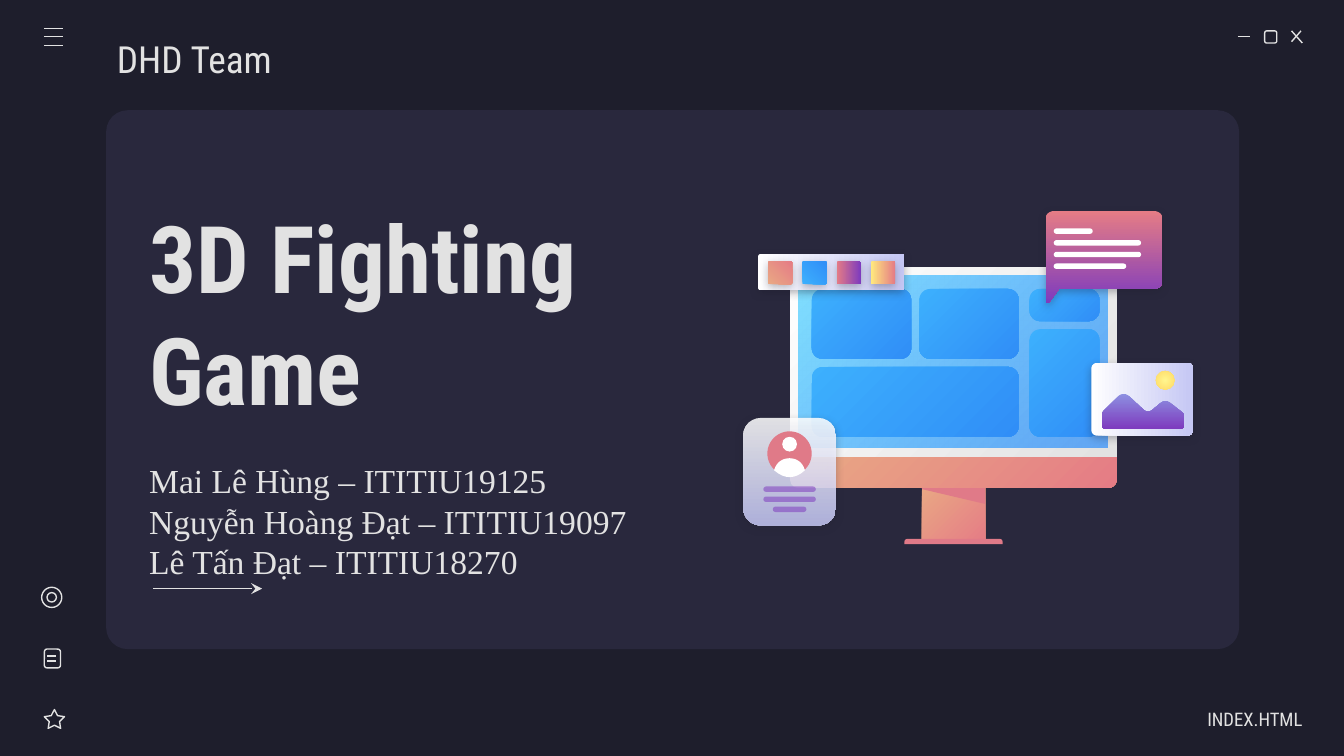
import math

from lxml import etree
from pptx import Presentation
from pptx.dml import color
from pptx.enum import shapes, text
from pptx.oxml import ns
from pptx.util import Inches, Pt

KIND = shapes.MSO_SHAPE
INK, NIGHT, PANEL = "E2E2E2", "1E1E2C", "29283D"
WHITE, ROSE, PURPLE = "FFFFFF", "E07A88", "7E3BBE"
CORAL = ("E9A984", "E57C85", 45)
BLUE = ("3DB0FD", "308EF7", 45)
SUNSET = ("E57C85", PURPLE, 90)
PAPER = (WHITE, "C5C7F4", 90)
CONDENSED = "Roboto Condensed"


def rgb(value):
    return color.RGBColor.from_string(value)


def add_xml(parent, tag, **attributes):
    return etree.SubElement(parent, ns.qn(tag), {name: str(value) for name, value in attributes.items()})


def set_alpha(shape, *percents):
    for node, percent in zip(shape.element.spPr.iter(ns.qn("a:srgbClr")), percents):
        add_xml(node, "a:alpha", val=percent * 1000)


def paint(shape, fill=None, line=None, shadow=False, alpha=()):
    if fill is None:
        shape.fill.background()
    elif isinstance(fill, str):
        shape.fill.solid()
        shape.fill.fore_color.rgb = rgb(fill)
    else:
        shape.fill.gradient()
        shape.fill.gradient_angle = 360 - fill[2]
        for stop, value in zip(shape.fill.gradient_stops, fill):
            stop.color.rgb = rgb(value)
    set_alpha(shape, *alpha)
    if line:
        shape.line.color.rgb = rgb(line)
        shape.line.width = Pt(0.75)
    else:
        shape.line.fill.background()
    shape.shadow.inherit = False
    if shadow:
        effects = shape.element.spPr.find(ns.qn("a:effectLst"))
        outer = add_xml(effects, "a:outerShdw", blurRad=Pt(4.5), dist=Pt(1.5), dir=5400000,
                        algn="bl", rotWithShape=0)
        add_xml(add_xml(outer, "a:srgbClr", val=NIGHT), "a:alpha", val=30000)
    return shape


def add_preset(canvas, kind, at, radii=(), rotation=0, **style):
    shape = canvas.add_shape(kind, *map(Inches, at))
    for index, radius in enumerate(radii):
        shape.adjustments[index] = radius / min(at[2:])
    shape.rotation = rotation
    return paint(shape, **style)


def add_rounded(canvas, at, radius, **style):
    return add_preset(canvas, KIND.ROUNDED_RECTANGLE, at, (radius,), **style)


def toward(start, end, distance):
    share = min(1, distance / math.dist(start, end))
    return tuple(a + (b - a) * share for a, b in zip(start, end))


def add_outline(canvas, corners, **style):
    points = []
    for index, (x, y, radius) in enumerate(corners):
        peak = (x, y)
        if not radius:
            points.append(peak)
            continue
        enter = toward(peak, corners[index - 1][:2], radius)
        leave = toward(peak, corners[(index + 1) % len(corners)][:2], radius)
        for step in range(9):
            t = step / 8
            points.append(tuple((1 - t) ** 2 * a + 2 * t * (1 - t) * b + t ** 2 * c
                                for a, b, c in zip(enter, peak, leave)))
    places = [(Inches(x), Inches(y)) for x, y in points]
    builder = canvas.build_freeform(*places[0], scale=1.0)
    builder.add_line_segments(places[1:], close=True)
    return paint(builder.convert_to_shape(), **style)


def add_line(canvas, x1, y1, x2, y2, arrow=False):
    line = canvas.add_connector(shapes.MSO_CONNECTOR.STRAIGHT, *map(Inches, (x1, y1, x2, y2)))
    line.line.color.rgb = rgb(INK)
    line.line.width = Pt(0.75)
    if arrow:
        outline = line.element.spPr.find(ns.qn("a:ln"))
        add_xml(outline, "a:tailEnd", type="stealth", w="med", len="med")
    add_xml(line.element.spPr, "a:effectLst")


def write(box, at, lines, size, font=CONDENSED, bold=False, align=text.PP_ALIGN.LEFT,
          left=0.1, right=0.1):
    box.left, box.top, box.width, box.height = map(Inches, at)
    frame = box.text_frame
    frame.word_wrap = True
    frame.auto_size = text.MSO_AUTO_SIZE.NONE
    frame.vertical_anchor = text.MSO_ANCHOR.MIDDLE
    frame.margin_left, frame.margin_right = Inches(left), Inches(right)
    frame.margin_top = frame.margin_bottom = Inches(0.1)
    frame.text = "\n".join(lines)
    for para in frame.paragraphs:
        para.alignment = align
        para.space_before = Pt(0)
        para.line_spacing = 1.0
        for span in para.runs:
            span.font.name, span.font.size, span.font.bold = font, Pt(size), bold
            span.font.color.rgb = rgb(INK)


def add_label(page, at, words, size, **style):
    write(page.shapes.add_textbox(0, 0, 0, 0), at, [words], size, **style)


def new_group(page):
    return page.shapes.add_group_shape().shapes


def draw_window_buttons(canvas):
    add_line(canvas, 9.21, 0.27, 9.3, 0.27)
    add_rounded(canvas, (9.41, 0.23, 0.09, 0.09), 0.015, line=INK)
    add_line(canvas, 9.61, 0.23, 9.69, 0.32)
    add_line(canvas, 9.68, 0.23, 9.61, 0.31)


def draw_monitor(canvas):
    add_preset(canvas, KIND.RECTANGLE, (6.86, 3.61, 0.47, 0.43), fill=CORAL)
    add_preset(canvas, KIND.ROUND_2_SAME_RECTANGLE, (6.73, 4.01, 0.73, 0.04), (0.02, 0), fill=ROSE)
    add_outline(canvas, [(6.86, 3.61, 0), (6.86, 3.64, 0), (7.33, 3.75, 0), (7.33, 3.61, 0)], fill=ROSE)
    add_preset(canvas, KIND.ROUND_2_SAME_RECTANGLE, (5.88, 3.39, 2.43, 0.24), (0, 0.06), fill=CORAL)
    add_preset(canvas, KIND.ROUND_2_SAME_RECTANGLE, (5.88, 1.99, 2.43, 1.41), (0.06, 0),
               fill=(WHITE, INK, 45))
    add_preset(canvas, KIND.RECTANGLE, (5.94, 2.05, 2.3, 1.28), fill=("80DFFF", "318FFA", 45),
               alpha=(100, 72))
    for tile in ((6.04, 2.15, 0.74, 0.52), (6.04, 2.73, 1.54, 0.52), (6.84, 2.15, 0.74, 0.52),
                 (7.66, 2.15, 0.52, 0.24), (7.66, 2.45, 0.52, 0.8)):
        add_rounded(canvas, tile, 0.08, fill=BLUE)


def draw_speech_bubble(canvas):
    add_outline(canvas, [(7.78, 1.57, 0.07), (8.65, 1.57, 0.07), (8.65, 2.15, 0.07), (7.88, 2.15, 0),
                         (7.8, 2.26, 0.02), (7.78, 2.25, 0.01)], fill=SUNSET, shadow=True)
    for row, width in enumerate((0.29, 0.65, 0.65, 0.54)):
        add_rounded(canvas, (7.84, 1.7 + row * 0.087, width, 0.04), 0.02, fill=WHITE)


def draw_profile_card(canvas):
    add_rounded(canvas, (5.53, 3.11, 0.69, 0.8), 0.13, fill=PAPER, alpha=(86, 86), shadow=True)
    add_preset(canvas, KIND.OVAL, (5.71, 3.21, 0.33, 0.33), fill=ROSE)
    add_preset(canvas, KIND.OVAL, (5.82, 3.25, 0.11, 0.11), fill=WHITE)
    add_outline(canvas, [(5.76, 3.5, 0), (5.79, 3.41, 0.09), (5.96, 3.41, 0.09), (5.99, 3.5, 0),
                         (5.88, 3.6, 0.15)], fill=WHITE)
    for row, width in enumerate((0.39, 0.39, 0.25)):
        add_rounded(canvas, (5.875 - width / 2, 3.62 + row * 0.075, width, 0.04), 0.02,
                    fill=PURPLE, alpha=(54,))


def draw_photo(canvas):
    add_rounded(canvas, (8.23, 2.59, 0.54, 0.76), 0.04, rotation=270, fill=PAPER, shadow=True)
    add_outline(canvas, [(8.2, 3.07, 0.02), (8.36, 2.91, 0.06), (8.54, 3.08, 0.05), (8.67, 2.97, 0.05),
                         (8.81, 3.08, 0.02), (8.81, 3.19, 0.03), (8.2, 3.19, 0.03)],
                fill=("8D90E1", PURPLE, 90))
    sun = add_preset(canvas, KIND.OVAL, (8.6, 2.76, 0.14, 0.14), fill=("FFF68E", "FFD966", 90))
    gradient = sun.element.spPr.find(ns.qn("a:gradFill"))
    gradient.remove(gradient.find(ns.qn("a:lin")))
    circle = add_xml(gradient, "a:path", path="circle")
    add_xml(circle, "a:fillToRect", l=50000, t=50000, r=50000, b=50000)


def draw_palette(canvas):
    add_rounded(canvas, (6.05, 1.48, 0.27, 1.09), 0.02, rotation=270, fill=PAPER, shadow=True)
    for column, fill in enumerate((CORAL, BLUE, SUNSET, ("FFEA7D", "E57C85", 90))):
        add_rounded(canvas, (5.72 + column * 0.255, 1.94, 0.17, 0.18), 0.01, rotation=270,
                    fill=fill, shadow=True)


def draw_side_icons(canvas):
    star = add_preset(canvas, KIND.STAR_5_POINT, (0.33, 5.28, 0.15, 0.14), line=INK)
    star.adjustments[0] = 0.254
    add_rounded(canvas, (0.33, 4.83, 0.12, 0.14), 0.02, line=INK)
    for y in (4.88, 4.92):
        add_line(canvas, 0.35, y, 0.42, y)
    for inset in (0, 0.04):
        size = 0.15 - 2 * inset
        add_preset(canvas, KIND.OVAL, (0.31 + inset, 4.37 + inset, size, size), line=INK)


def draw_menu(canvas):
    for y in (0.21, 0.27, 0.34):
        add_line(canvas, 0.33, y, 0.47, y)


def main():
    deck = Presentation()
    deck.slide_width, deck.slide_height = Inches(10), Inches(10 * 9 / 16)
    page = deck.slides.add_slide(deck.slide_layouts[0])
    page.background.fill.solid()
    page.background.fill.fore_color.rgb = rgb(NIGHT)
    panel = add_rounded(page.shapes, (0.79, 0.82, 8.43, 4.01), 0.16, fill=PANEL)
    title, names = page.placeholders
    title.element.addprevious(panel.element)
    write(title, (1.01, 1.44, 4.47, 1.76), ["3D Fighting Game"], 50, bold=True)
    write(names, (1.01, 3.38, 4.36, 0.99),
          ["Mai Lê Hùng – ITITIU19125", "Nguyễn Hoàng Đạt – ITITIU19097", "Lê Tấn Đạt – ITITIU18270"],
          18, font="Times New Roman")
    add_label(page, (0.87, 0.12, 1.62, 0.63), "DHD Team", 20, left=0)
    for draw in (draw_window_buttons, draw_monitor, draw_speech_bubble, draw_menu,
                 draw_profile_card, draw_photo, draw_palette, draw_side_icons):
        draw(new_group(page))
    add_line(page.shapes, 1.14, 4.38, 1.95, 4.38, arrow=True)
    add_label(page, (8.52, 5.2, 1.17, 0.3), "INDEX.HTML", 10, align=text.PP_ALIGN.RIGHT, right=0)
    deck.save("out.pptx")


if __name__ == "__main__":
    main()
